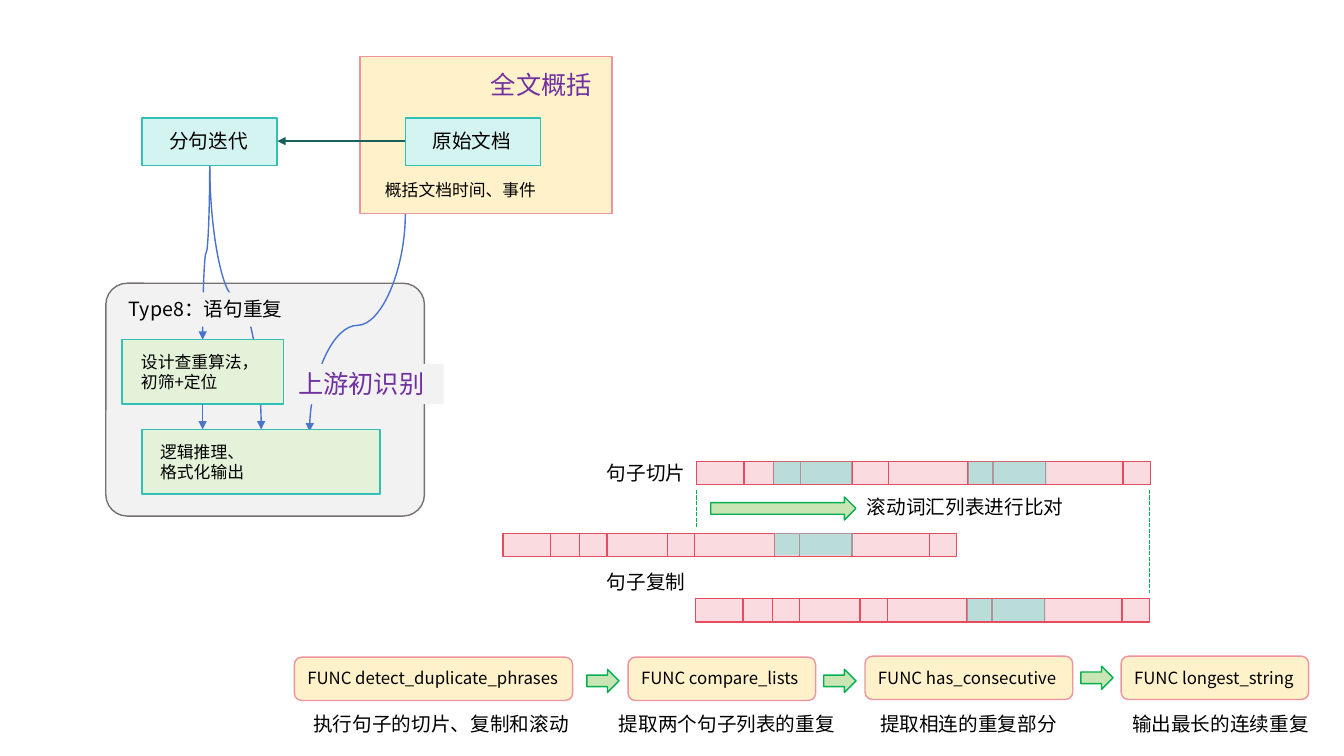
from lxml.etree import SubElement
from pptx import Presentation
from pptx.dml.color import RGBColor
from pptx.enum.dml import MSO_LINE
from pptx.enum.shapes import MSO_CONNECTOR, MSO_SHAPE
from pptx.enum.text import MSO_ANCHOR, PP_ALIGN
from pptx.oxml.ns import qn
from pptx.util import Inches, Pt

BLACK = RGBColor(0x00, 0x00, 0x00)
PURPLE = RGBColor(0x70, 0x30, 0xA0)
PANEL = RGBColor(0xF2, 0xF2, 0xF2)
GRAY = RGBColor(0x76, 0x71, 0x71)
BLUE = RGBColor(0x48, 0x74, 0xCB)
TEAL = RGBColor(0x30, 0xC0, 0xB4)
DARK_TEAL = RGBColor(0x18, 0x60, 0x5A)
PALE_TEAL = RGBColor(0xD4, 0xF4, 0xF2)
MATCH_TEAL = RGBColor(0x7D, 0xDF, 0xD7)
PALE_GREEN = RGBColor(0xE3, 0xF2, 0xD9)
ARROW_GREEN = RGBColor(0xC8, 0xE5, 0xB3)
GREEN = RGBColor(0x00, 0xB0, 0x50)
CREAM = RGBColor(0xFF, 0xF2, 0xCA)
PINK = RGBColor(0xEF, 0x94, 0x9E)
PALE_RED = RGBColor(0xFA, 0xDB, 0xDF)
RED = RGBColor(0xE5, 0x4C, 0x5E)
FONT_SC = "Noto Sans CJK SC"
FONT_JP = "Noto Sans CJK JP"

STRIP_WIDTH, STRIP_HEIGHT, MATCH_WIDTH = 4.5, 0.23, 0.78


class FlowSlide:
    def __init__(self, slide):
        self.slide = slide

    def box(self, left, top, width, height, fill, line=None,
            kind=MSO_SHAPE.RECTANGLE, radius=None, alpha=None):
        shape = self.slide.shapes.add_shape(
            kind, Inches(left), Inches(top), Inches(width), Inches(height))
        shape.shadow.inherit = False
        shape.fill.solid()
        shape.fill.fore_color.rgb = fill
        if line is None:
            shape.line.fill.background()
        else:
            shape.line.color.rgb = line
            shape.line.width = Pt(1)
        if radius is not None:
            shape.adjustments[0] = radius
        if alpha is not None:
            color = shape._element.spPr.find(qn("a:solidFill"))[0]
            SubElement(color, qn("a:alpha")).set("val", str(alpha * 1000))
        return shape

    def fill_text(self, shape, text, size, font=FONT_SC, color=BLACK, wrap=True):
        frame = shape.text_frame
        frame.word_wrap = wrap
        frame.vertical_anchor = MSO_ANCHOR.TOP
        paragraph = frame.paragraphs[0]
        paragraph.alignment = PP_ALIGN.LEFT
        run = paragraph.add_run()
        run.text = text
        run.font.size = Pt(size)
        run.font.name = font
        run.font.color.rgb = color
        SubElement(run._r.get_or_add_rPr(), qn("a:ea")).set("typeface", font)

    def text(self, left, top, width, height, text, size, **style):
        shape = self.slide.shapes.add_textbox(
            Inches(left), Inches(top), Inches(width), Inches(height))
        self.fill_text(shape, text, size, **style)

    def label(self, left, top, text):
        width = 0.21 + len(text) * 14 / 72
        self.text(left, top, width, 0.34, text, 14, wrap=False)

    def line(self, start, end, color, arrow=False, dash=None,
             kind=MSO_CONNECTOR.STRAIGHT):
        connector = self.slide.shapes.add_connector(
            kind, *(Inches(value) for value in (*start, *end)))
        connector.line.color.rgb = color
        connector.line.width = Pt(1)
        if dash is not None:
            connector.line.dash_style = dash
        if arrow:
            outline = connector._element.spPr.find(qn("a:ln"))
            SubElement(outline, qn("a:tailEnd")).set("type", "triangle")
        SubElement(connector._element.spPr, qn("a:effectLst"))
        return connector

    def down_curve(self, start, end, bend=50000):
        center_x, center_y = (start[0] + end[0]) / 2, (start[1] + end[1]) / 2
        half_drop, half_shift = (end[1] - start[1]) / 2, abs(end[0] - start[0]) / 2
        side, angle = (1, 270) if end[0] > start[0] else (-1, 90)
        connector = self.line(
            (center_x + side * half_drop, center_y - half_shift),
            (center_x - side * half_drop, center_y + half_shift),
            BLUE, arrow=True, kind=MSO_CONNECTOR.CURVE)
        properties = connector._element.spPr
        properties.xfrm.set("rot", str(angle * 60000))
        guides = properties.find(qn("a:prstGeom")).find(qn("a:avLst"))
        guide = SubElement(guides, qn("a:gd"))
        guide.set("name", "adj1")
        guide.set("fmla", f"val {bend}")

    def arrow(self, left, top, width):
        self.box(left, top, width, 0.23, ARROW_GREEN, GREEN, MSO_SHAPE.RIGHT_ARROW)

    def strip(self, left, top, dividers, matches):
        self.box(left, top, STRIP_WIDTH, STRIP_HEIGHT, PALE_RED, RED)
        for offset in dividers:
            x = left + offset
            self.line((x, top), (x, top + STRIP_HEIGHT), RED)
        for offset in matches:
            self.box(left + offset, top, MATCH_WIDTH, 0.22, MATCH_TEAL, alpha=50)

    def function_step(self, left, top, width, name):
        self.box(left, top, width, 0.43, CREAM, PINK, MSO_SHAPE.ROUNDED_RECTANGLE)
        self.text(left + 0.03, 6.58, width + 0.1, 0.3, name, 12, font=FONT_JP)


def draw_pipeline(flow):
    flow.box(1.05, 2.81, 3.16, 2.31, PANEL, GRAY, MSO_SHAPE.ROUNDED_RECTANGLE, 0.092)
    flow.down_curve((2.08, 1.64), (2.01, 3.37))
    flow.down_curve((4.02, 2.12), (3.07, 4.28), bend=51300)
    flow.down_curve((2.08, 1.64), (2.59, 4.26))
    flow.fill_text(flow.box(1.18, 2.9, 1.9, 0.34, PANEL), "Type8：语句重复", 14)
    flow.box(1.21, 3.37, 1.6, 0.64, PALE_GREEN, TEAL)
    flow.text(1.3, 3.44, 1.51, 0.5, "设计查重算法，初筛+定位", 12)
    flow.line((2.01, 4.01), (2.01, 4.26), BLUE, arrow=True)
    flow.box(1.41, 4.26, 2.36, 0.64, PALE_GREEN, TEAL)
    flow.text(1.49, 4.33, 1.15, 0.5, "逻辑推理、格式化输出", 12)
    flow.box(3.57, 0.56, 2.5, 1.56, CREAM, PINK)
    for left, name in ((4.02, "原始文档"), (1.41, "分句迭代")):
        flow.box(left, 1.17, 1.34, 0.47, PALE_TEAL, TEAL)
        flow.label(left + 0.17, 1.23, name)
    flow.line((4.02, 1.4), (2.75, 1.4), DARK_TEAL, arrow=True)
    flow.text(3.72, 1.73, 2.03, 0.3, "概括文档时间、事件", 12)
    flow.text(4.77, 0.64, 1.28, 0.4, "全文概括", 18, font=FONT_JP, color=PURPLE)
    flow.fill_text(flow.box(2.86, 3.61, 1.54, 0.4, PANEL), "上游初识别", 18,
                   font=FONT_JP, color=PURPLE)


def draw_comparison(flow):
    first_dividers = (0.47, 0.76, 1.03, 1.54, 1.9, 2.69, 2.94, 3.46, 4.23)
    copy_dividers = (0.47, 0.76, 1.03, 1.63, 1.9, 2.69, 2.94, 3.46, 4.23)
    flow.strip(6.91, 4.58, first_dividers, (0.76, 2.69))
    flow.strip(4.99, 5.29, copy_dividers, (2.69,))
    flow.strip(6.9, 5.94, copy_dividers, (2.69,))
    flow.arrow(7.05, 4.93, 1.44)
    for x, bottom in ((6.91, 5.24), (11.4, 5.88)):
        flow.line((x, 4.86), (x, bottom), GREEN, dash=MSO_LINE.SQUARE_DOT)
    flow.label(5.92, 4.52, "句子切片")
    flow.label(8.5, 4.86, "滚动词汇列表进行比对")
    flow.label(5.92, 5.61, "句子复制")


def draw_functions(flow):
    steps = (
        (2.92, 6.52, 2.76, "FUNC detect_duplicate_phrases", 3.01, "执行句子的切片、复制和滚动"),
        (6.23, 6.52, 1.86, "FUNC compare_lists", 6.04, "提取两个句子列表的重复"),
        (8.58, 6.51, 2.06, "FUNC has_consecutive", 8.63, "提取相连的重复部分"),
        (11.12, 6.51, 1.86, "FUNC longest_string", 11.13, "输出最长的连续重复"),
    )
    for left, top, width, name, caption_left, caption in steps:
        flow.function_step(left, top, width, name)
        flow.label(caption_left, 7.01, caption)
    for left, top in ((5.82, 6.64), (8.17, 6.64), (10.72, 6.61)):
        flow.arrow(left, top, 0.32)


def main():
    presentation = Presentation()
    presentation.slide_width = Inches(13.33)
    presentation.slide_height = Inches(7.5)
    flow = FlowSlide(presentation.slides.add_slide(presentation.slide_layouts[6]))
    draw_pipeline(flow)
    draw_functions(flow)
    draw_comparison(flow)
    presentation.save("out.pptx")


if __name__ == "__main__":
    main()
